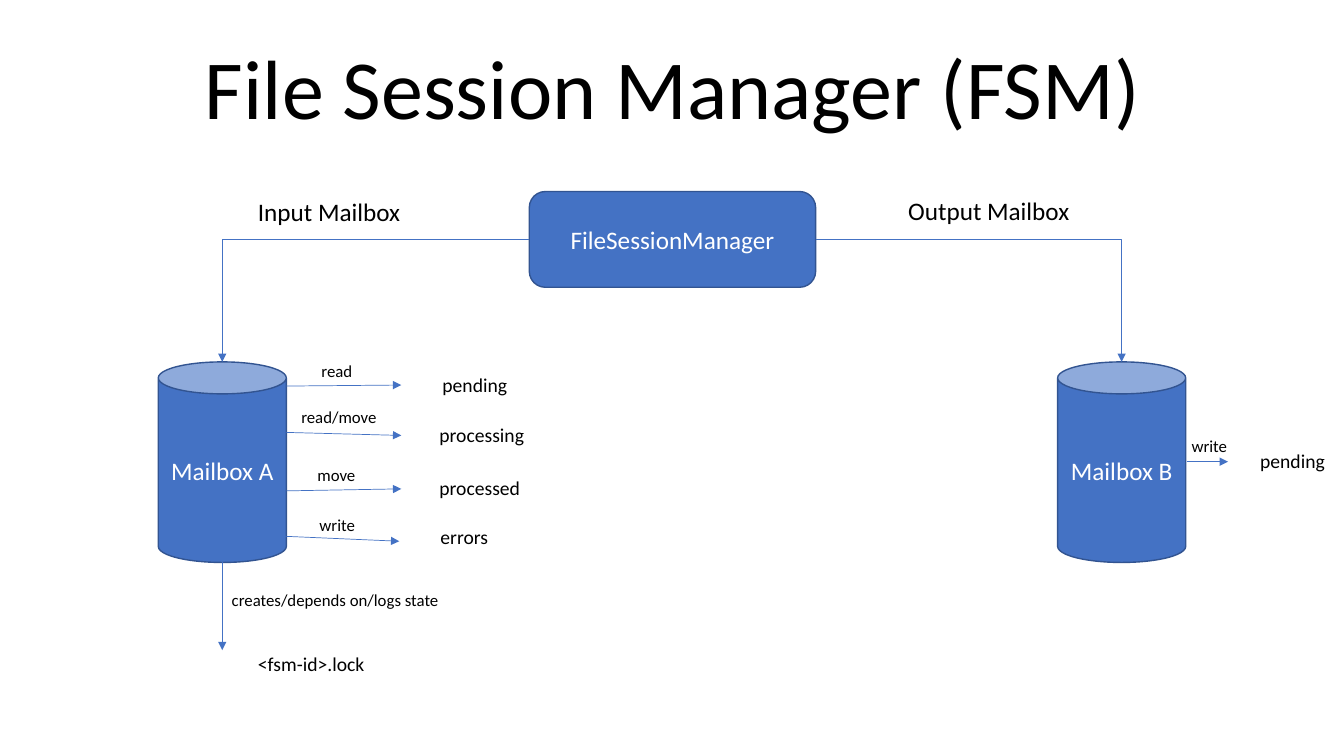
from dataclasses import dataclass

import lxml.etree
import pptx
import pptx.dml.color
import pptx.enum.shapes
import pptx.enum.text
import pptx.oxml.ns
import pptx.util

SHAPES = pptx.enum.shapes.MSO_SHAPE
LINES = pptx.enum.shapes.MSO_CONNECTOR
ALIGN = pptx.enum.text.PP_ALIGN
ANCHOR = pptx.enum.text.MSO_ANCHOR
AUTO_SIZE = pptx.enum.text.MSO_AUTO_SIZE
COLUMNS, ROWS = 133.3, 75
CELL = pptx.util.Inches(0.1)


@dataclass(frozen=True)
class Theme:
    font: str = "Calibri"
    fill: str = "4472C4"
    outline: str = "325491"
    ink: str = "000000"
    light: str = "FFFFFF"
    title: int = 60
    heading: int = 18
    folder: int = 14
    action: int = 12
    outline_width: float = 1
    arrow_width: float = 0.5


@dataclass(frozen=True)
class Area:
    column: float
    row: float
    width: float
    height: float

    @property
    def right(self) -> float:
        return self.column + self.width

    @property
    def bottom(self) -> float:
        return self.row + self.height

    @property
    def center(self) -> float:
        return self.column + self.width / 2

    @property
    def middle(self) -> float:
        return self.row + self.height / 2


@dataclass(frozen=True)
class Node:
    text: str
    kind: SHAPES
    area: Area


@dataclass(frozen=True)
class Label:
    text: str
    size: int
    area: Area


@dataclass(frozen=True)
class Arrow:
    start: tuple[float, float]
    end: tuple[float, float]
    bent: bool = False


@dataclass(frozen=True)
class Flow:
    action: str
    action_area: Area
    start: tuple[float, float]
    end: tuple[float, float]
    folder: str
    folder_area: Area


THEME = Theme()
TITLE_AREA = Area(15.7, 3.8, 102, 10.4)
MANAGER = Node("FileSessionManager", SHAPES.ROUNDED_RECTANGLE, Area(52.5, 19, 28.4, 9.5))
INBOX = Node("Mailbox A", SHAPES.CAN, Area(15.7, 35.9, 12.7, 19.9))
OUTBOX = Node("Mailbox B", SHAPES.CAN, Area(104.9, 35.9, 12.7, 19.9))
NODES = [MANAGER, INBOX, OUTBOX]

FLOWS = [
    Flow("read", Area(30.9, 35.3, 9.2, 3), (28.4, 38.3), (39.8, 38.2),
         "pending", Area(42.9, 36.5, 9.3, 3.4)),
    Flow("read/move", Area(28.9, 39.9, 10.4, 3), (28.4, 42.9), (39.8, 43.2),
         "processing", Area(42.6, 41.5, 11.3, 3.4)),
    Flow("move", Area(30.5, 45.6, 10.4, 3), (28.4, 48.7), (39.8, 48.5),
         "processed", Area(42.6, 46.7, 10.6, 3.4)),
    Flow("write", Area(30.7, 50.6, 10.4, 3), (28.1, 53.2), (39.6, 53.7),
         "errors", Area(42.7, 51.6, 9.3, 3.4)),
    Flow("write", Area(117.2, 42.7, 10.4, 3), (117.7, 45.8), (121.8, 45.8),
         "pending", Area(124, 44, 9.3, 3.4)),
    Flow("creates/depends on/logs state", Area(22, 58, 24.5, 3),
         (INBOX.area.center, INBOX.area.bottom), (INBOX.area.center, 64.5),
         "<fsm-id>.lock", Area(24.6, 64.2, 13, 3.4)),
]
HEADINGS = [
    Label("Input Mailbox", THEME.heading, Area(24.6, 19, 17.2, 4)),
    Label("Output Mailbox", THEME.heading, Area(89.1, 18.9, 19.7, 4)),
]
BRANCHES = [
    Arrow((MANAGER.area.column, MANAGER.area.middle),
          (INBOX.area.center, INBOX.area.row), True),
    Arrow((MANAGER.area.right, MANAGER.area.middle),
          (OUTBOX.area.center, OUTBOX.area.row), True),
]


def cells(count: float) -> int:
    return round(count * CELL)


def bounds(area: Area) -> tuple[int, int, int, int]:
    return cells(area.column), cells(area.row), cells(area.width), cells(area.height)


def color(code: str) -> pptx.dml.color.RGBColor:
    return pptx.dml.color.RGBColor.from_string(code)


def write(box, text: str, size: int, ink: str, align: ALIGN, anchor: ANCHOR) -> None:
    frame = box.text_frame
    frame.text = text
    frame.word_wrap = True
    frame.vertical_anchor = anchor
    para = frame.paragraphs[0]
    para.alignment = align
    font = para.runs[0].font
    font.name = THEME.font
    font.size = pptx.util.Pt(size)
    font.color.rgb = color(ink)


def draw_title(page) -> None:
    title = page.shapes.title
    title.left, title.top, title.width, title.height = bounds(TITLE_AREA)
    write(title, "File Session Manager (FSM)", THEME.title, THEME.ink,
          ALIGN.CENTER, ANCHOR.BOTTOM)
    title.text_frame.auto_size = AUTO_SIZE.NONE
    title.text_frame.paragraphs[0].line_spacing = 0.9


def draw_node(page, node: Node) -> None:
    shape = page.shapes.add_shape(node.kind, *bounds(node.area))
    shape.shadow.inherit = False
    shape.fill.solid()
    shape.fill.fore_color.rgb = color(THEME.fill)
    shape.line.color.rgb = color(THEME.outline)
    shape.line.width = pptx.util.Pt(THEME.outline_width)
    write(shape, node.text, THEME.heading, THEME.light, ALIGN.CENTER, ANCHOR.MIDDLE)


def draw_label(page, label: Label) -> None:
    box = page.shapes.add_textbox(*bounds(label.area))
    write(box, label.text, label.size, THEME.ink, ALIGN.LEFT, ANCHOR.TOP)
    box.text_frame.auto_size = AUTO_SIZE.SHAPE_TO_FIT_TEXT


def draw_arrow(page, arrow: Arrow) -> None:
    kind = LINES.ELBOW if arrow.bent else LINES.STRAIGHT
    points = [cells(value) for value in (*arrow.start, *arrow.end)]
    connector = page.shapes.add_connector(kind, *points)
    connector.line.color.rgb = color(THEME.fill)
    connector.line.width = pptx.util.Pt(THEME.arrow_width)
    name = pptx.oxml.ns.qn
    properties = connector.element.spPr
    if arrow.bent:
        properties.find(name("a:prstGeom")).set("prst", "bentConnector2")
    lxml.etree.SubElement(properties.find(name("a:ln")), name("a:tailEnd"), type="triangle")
    lxml.etree.SubElement(properties, name("a:effectLst"))


def main() -> None:
    deck = pptx.Presentation()
    deck.slide_width, deck.slide_height = cells(COLUMNS), cells(ROWS)
    page = deck.slides.add_slide(deck.slide_layouts[5])
    draw_title(page)
    for node in NODES:
        draw_node(page, node)
    for arrow in BRANCHES + [Arrow(flow.start, flow.end) for flow in FLOWS]:
        draw_arrow(page, arrow)
    folders = [Label(flow.folder, THEME.folder, flow.folder_area) for flow in FLOWS]
    actions = [Label(flow.action, THEME.action, flow.action_area) for flow in FLOWS]
    for label in folders + actions + HEADINGS:
        draw_label(page, label)
    deck.save("out.pptx")


if __name__ == "__main__":
    main()
